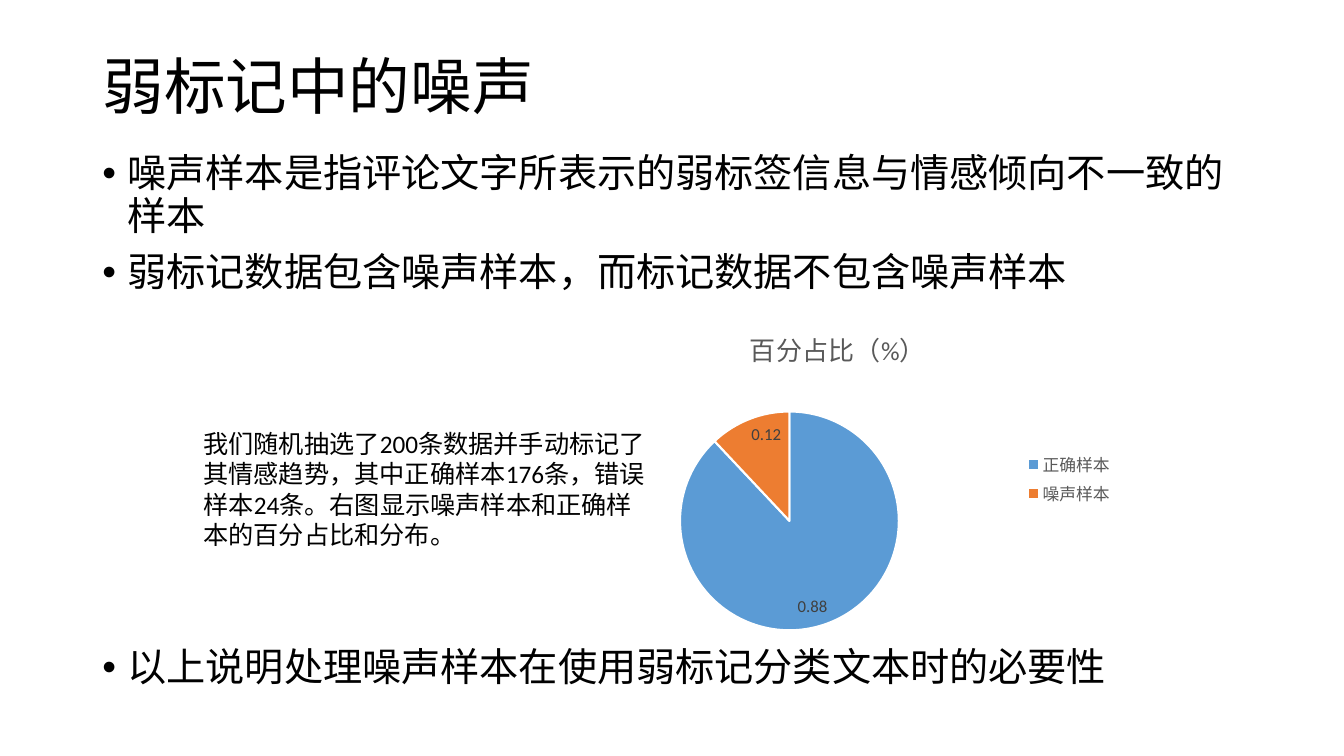
from lxml.etree import SubElement
from pptx import Presentation
from pptx.chart.data import CategoryChartData
from pptx.dml.color import RGBColor
from pptx.enum.chart import XL_CHART_TYPE, XL_LABEL_POSITION, XL_LEGEND_POSITION
from pptx.enum.lang import MSO_LANGUAGE_ID
from pptx.enum.text import MSO_ANCHOR, MSO_AUTO_SIZE, PP_ALIGN
from pptx.oxml.ns import qn
from pptx.util import Pt

BLACK = RGBColor(0x00, 0x00, 0x00)
WHITE = RGBColor(0xFF, 0xFF, 0xFF)
GREY = RGBColor(0x59, 0x59, 0x59)
DARK_GREY = RGBColor(0x40, 0x40, 0x40)
BLUE = RGBColor(0x5B, 0x9B, 0xD5)
ORANGE = RGBColor(0xED, 0x7D, 0x31)


class Deck:
    """Holds the style and the current slide, and adds elements to it."""

    font = "Calibri"

    def __init__(self, prs):
        self.s = prs.slides.add_slide(prs.slide_layouts[5])

    def style(self, font, size, color):
        font.name = self.font
        font.size = Pt(size)
        font.color.rgb = color

    def run(self, p, text, size):
        r = p.add_run()
        r.text = text
        self.style(r.font, size, BLACK)
        r.font.language_id = MSO_LANGUAGE_ID.SIMPLIFIED_CHINESE

    def title(self, text, left, top, width, height):
        sp = self.s.shapes.title
        sp.left, sp.top, sp.width, sp.height = map(Pt, (left, top, width, height))
        tf = sp.text_frame
        tf.auto_size = MSO_AUTO_SIZE.NONE
        tf.vertical_anchor = MSO_ANCHOR.MIDDLE
        p = tf.paragraphs[0]
        p.alignment = PP_ALIGN.LEFT
        p.line_spacing = 0.9
        self.run(p, text, 44)

    def text(self, text, left, top, width, height, size=18):
        tf = self.box(left, top, width, height)
        self.run(tf.paragraphs[0], text, size)

    def box(self, left, top, width, height):
        sp = self.s.shapes.add_textbox(*map(Pt, (left, top, width, height)))
        sp.text_frame.word_wrap = True
        return sp.text_frame

    def bullets(self, items, left, top, width, height, size=28):
        tf = self.box(left, top, width, height)
        for i, (text, gap) in enumerate(items):
            p = tf.add_paragraph() if i else tf.paragraphs[0]
            p.line_spacing = 0.9
            p.space_before = Pt(gap)
            pPr = p._p.get_or_add_pPr()
            pPr.set("marL", str(Pt(18)))
            pPr.set("indent", str(-Pt(18)))
            SubElement(pPr, qn("a:buFont")).set("typeface", "Arial")
            SubElement(pPr, qn("a:buChar")).set("char", "•")
            self.run(p, text, size)

    def pie(self, name, slices, left, top, width, height, plot_area):
        data = CategoryChartData()
        data.categories = [label for label, _, _ in slices]
        data.add_series(name, [value for _, value, _ in slices])
        chart = self.s.shapes.add_chart(
            XL_CHART_TYPE.PIE, *map(Pt, (left, top, width, height)), data).chart
        self.style(chart.font, 10, BLACK)

        chart.has_title = True
        r = chart.chart_title.text_frame.paragraphs[0].add_run()
        r.text = name
        self.style(r.font, 18.6, GREY)
        r.font.bold = False
        chart.chart_title.include_in_layout = False

        chart.has_legend = True
        chart.legend.position = XL_LEGEND_POSITION.RIGHT
        chart.legend.include_in_layout = False
        self.style(chart.legend.font, 12, GREY)

        plot = chart.plots[0]
        plot.vary_by_categories = True
        plot.has_data_labels = True
        labels = plot.data_labels
        labels.show_value = True
        labels.show_percentage = False
        labels.position = XL_LABEL_POSITION.INSIDE_END
        self.style(labels.font, 12, DARK_GREY)
        for i, (_, _, color) in enumerate(slices):
            fmt = plot.series[0].points[i].format
            fmt.fill.solid()
            fmt.fill.fore_color.rgb = color
            fmt.line.color.rgb = WHITE
            fmt.line.width = Pt(1.5)
        self.place_plot(chart, plot_area)

    def place_plot(self, chart, plot_area):
        area = chart._chartSpace.chart.plotArea
        layout = area.find(qn("c:layout"))
        if layout is None:
            layout = area.makeelement(qn("c:layout"), {})
            area.insert(0, layout)
        manual = SubElement(layout, qn("c:manualLayout"))
        settings = [("layoutTarget", "inner"), ("xMode", "edge"), ("yMode", "edge")]
        for tag, value in settings + list(zip("xywh", plot_area)):
            SubElement(manual, qn("c:" + tag)).set("val", str(value))


def main():
    prs = Presentation()
    prs.slide_width, prs.slide_height = Pt(960), Pt(540)
    deck = Deck(prs)
    deck.title("弱标记中的噪声", 66, 11.5, 828, 104.4)
    deck.bullets([
        ("噪声样本是指评论文字所表示的弱标签信息与情感倾向不一致的样本", 10),
        ("弱标记数据包含噪声样本，而标记数据不包含噪声样本", 10),
        ("以上说明处理噪声样本在使用弱标记分类文本时的必要性", 252),
    ], 66, 106.5, 828, 422)
    deck.pie("百分占比（%）", [("正确样本", 0.88, BLUE), ("噪声样本", 0.12, ORANGE)],
             394.5, 221.8, 408.2, 240.5, (0.22, 0.3, 0.39, 0.65))
    deck.text("我们随机抽选了200条数据并手动标记了其情感趋势，其中正确样本176条，"
              "错误样本24条。右图显示噪声样本和正确样本的百分占比和分布。",
              138.2, 302.4, 329.8, 94.3)
    prs.save("out.pptx")


if __name__ == "__main__":
    main()
